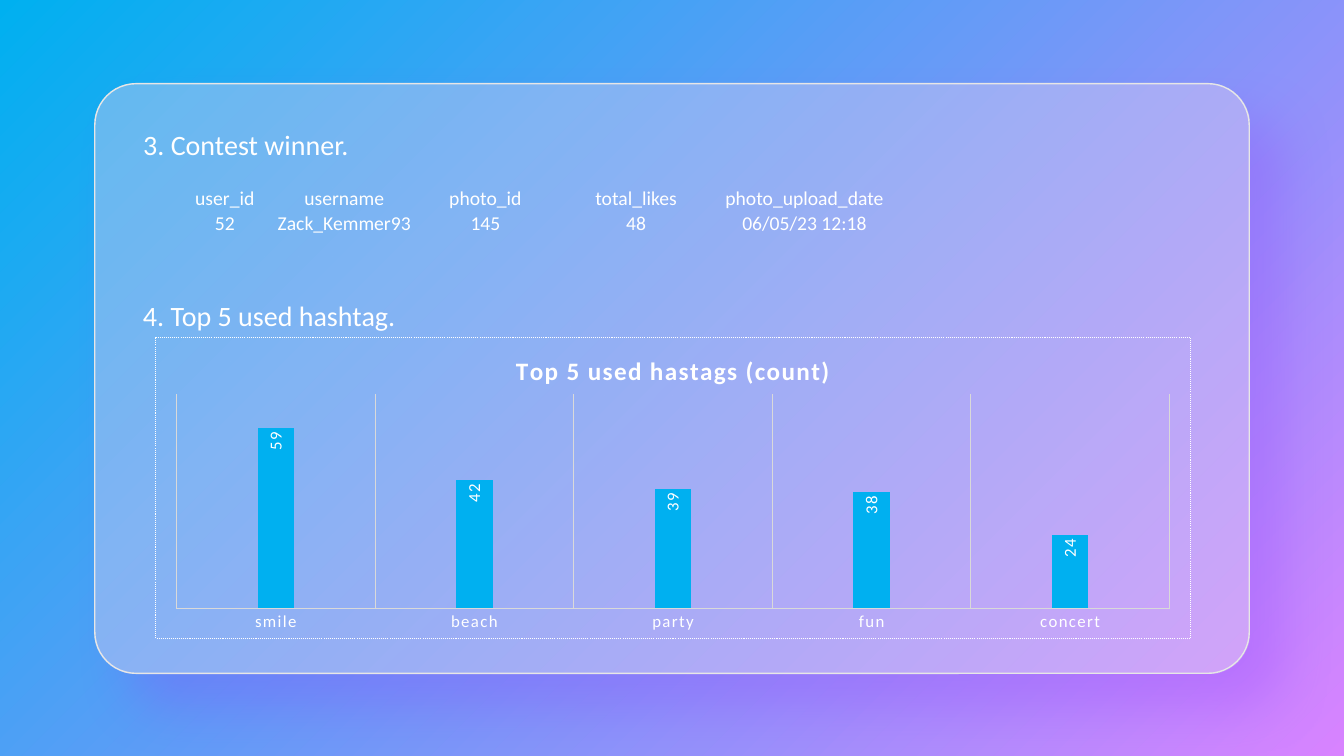
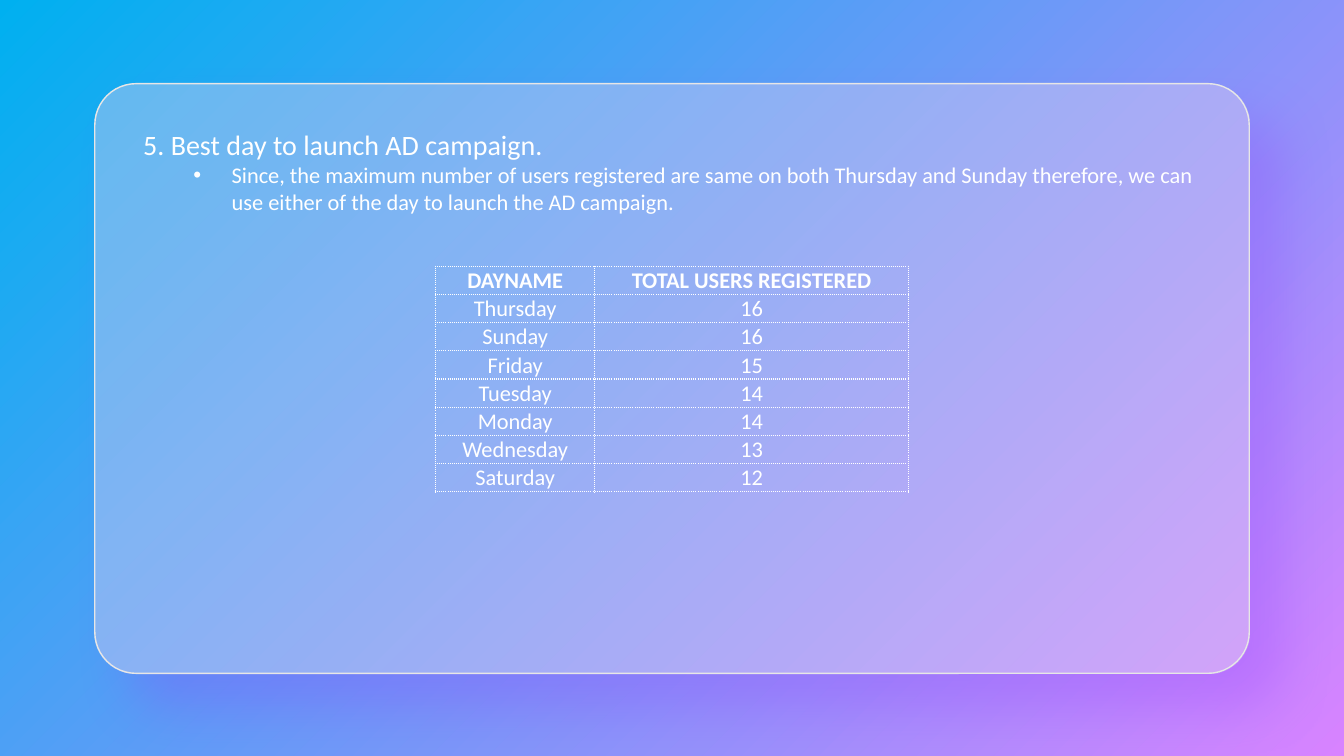
from lxml.etree import SubElement
from pptx import Presentation
from pptx.chart.data import CategoryChartData
from pptx.dml.color import RGBColor
from pptx.enum.chart import XL_CHART_TYPE, XL_LABEL_POSITION, XL_TICK_MARK
from pptx.enum.shapes import MSO_SHAPE
from pptx.enum.text import MSO_ANCHOR, MSO_AUTO_SIZE, PP_ALIGN
from pptx.oxml import parse_xml
from pptx.oxml.ns import nsdecls, qn
from pptx.util import Inches, Pt

WHITE = RGBColor(0xFF, 0xFF, 0xFF)
CYAN = RGBColor(0x00, 0xB0, 0xF0)
PINK = RGBColor(0xD8, 0x83, 0xFF)
SKY = RGBColor(0x40, 0xAE, 0xF4)
LILAC = RGBColor(0xCD, 0x94, 0xFF)
VIOLET = RGBColor(0x94, 0x37, 0xFF)
PALE = RGBColor(0xE7, 0xE6, 0xE6)
GRID = RGBColor(0xD9, 0xD9, 0xD9)
FONT = "Calibri"
PANEL = (0.94, 0.83, 11.45, 5.85)
LEFT, TOP, HEAD = 1.32, 1.21, 0.44
PLAIN = "{2D5ABB26-0587-4C30-8999-92F81FD0307C}"

WINNER = [
    ("user_id", "username", "photo_id", "total_likes", "photo_upload_date"),
    ("52", "Zack_Kemmer93", "145", "48", "06/05/23 12:18"),
]
TAGS = {"smile": 59, "beach": 42, "party": 39, "fun": 38, "concert": 24}
DAYS = [
    ("DAYNAME", "TOTAL USERS REGISTERED"),
    ("Thursday", "16"), ("Sunday", "16"), ("Friday", "15"),
    ("Tuesday", "14"), ("Monday", "14"), ("Wednesday", "13"),
    ("Saturday", "12"),
]
ADVICE = ("Since, the maximum number of users registered are same on both "
          "Thursday and Sunday therefore, we can use either of the day to "
          "launch the AD campaign.")


def style(font, size, bold=False):
    font.name, font.size, font.bold = FONT, Pt(size), bold
    font.color.rgb = WHITE


def write(frame, text, size=20, bold=False, align=PP_ALIGN.LEFT):
    para = frame.paragraphs[0]
    para.alignment = align
    run = para.add_run()
    run.text = text
    style(run.font, size, bold)
    return para


def blend(fill, start, end):
    """Fill with a gradient from top left to bottom right."""
    fill.gradient()
    fill.gradient_angle = 315
    for stop, color, place in zip(fill.gradient_stops, (start, end), (0, 1)):
        stop.color.rgb, stop.position = color, place


def dots(tag, width):
    """Give the XML of a white dotted line."""
    return parse_xml(
        f'<a:{tag} {nsdecls("a")} w="{Pt(width)}"><a:solidFill>'
        f'<a:srgbClr val="{WHITE}"/></a:solidFill>'
        f'<a:prstDash val="sysDot"/></a:{tag}>')


def add_pane(slide, box, start, end):
    pane = slide.shapes.add_shape(MSO_SHAPE.ROUNDED_RECTANGLE,
                                  *map(Inches, box))
    pane.adjustments[0] = 0.07
    pane.shadow.inherit = False
    blend(pane.fill, start, end)
    pane.line.fill.background()
    return pane


def add_glass(slide, box):
    """Place the glass panel on the layout that the slide uses."""
    base = add_pane(slide, box, SKY, LILAC)
    glow = base.element.spPr.find(qn("a:effectLst"))
    glow.append(parse_xml(
        f'<a:outerShdw {nsdecls("a")} blurRad="{Pt(40)}" dist="{Pt(35)}" '
        f'dir="2700000" algn="tl" rotWithShape="0"><a:srgbClr val="{VIOLET}">'
        '<a:alpha val="25000"/></a:srgbClr></a:outerShdw>'))
    glass = add_pane(slide, box, PALE, PALE)
    stops = glass.element.spPr.findall(".//" + qn("a:srgbClr"))
    for color, alpha in zip(stops, (22, 20)):
        SubElement(color, qn("a:alpha")).set("val", str(alpha * 1000))
    glass.line.color.rgb = PALE
    glass.line.width = Pt(1)
    for pane in (base, glass):
        slide.slide_layout.shapes.element.append(pane.element)


def set_title(slide, text):
    title = slide.shapes.title
    title.left, title.top = Inches(LEFT), Inches(TOP)
    title.width, title.height = Inches(10.64), Inches(HEAD)
    frame = title.text_frame
    frame.auto_size = MSO_AUTO_SIZE.NONE
    frame.vertical_anchor = MSO_ANCHOR.TOP
    write(frame, text)


def add_text(slide, box, text, **look):
    frame = slide.shapes.add_textbox(*map(Inches, box)).text_frame
    frame.word_wrap = True
    return write(frame, text, **look)


def add_point(slide, box, text):
    """Add a bulleted paragraph."""
    props = add_text(slide, box, text, size=16)._p.get_or_add_pPr()
    props.set("marL", str(Inches(0.88)))
    props.set("indent", str(Inches(-0.38)))
    SubElement(props, qn("a:buFont")).set("typeface", "Arial")
    SubElement(props, qn("a:buChar")).set("char", "•")


def add_grid(slide, spot, rows, cols, high, size, head=False, rule=False):
    """Add a table at spot; head makes row one bold, rule draws borders."""
    box = (*spot, sum(cols), high * len(rows))
    table = slide.shapes.add_table(len(rows), len(cols),
                                   *map(Inches, box)).table
    table.first_row = table.horz_banding = False
    table._tbl.tblPr.find(qn("a:tableStyleId")).text = PLAIN
    for col, width in zip(table.columns, cols):
        col.width = Inches(width)
    for i, row in enumerate(rows):
        table.rows[i].height = Inches(high)
        for j, text in enumerate(row):
            cell = table.cell(i, j)
            cell.margin_left = cell.margin_right = Inches(0.01)
            cell.margin_top, cell.margin_bottom = Inches(0.01), 0
            cell.vertical_anchor = MSO_ANCHOR.BOTTOM
            write(cell.text_frame, text, size=size, bold=head and i == 0,
                  align=PP_ALIGN.CENTER)
            if rule:
                props = cell._tc.get_or_add_tcPr()
                for side in ("lnL", "lnR", "lnT", "lnB"):
                    props.append(dots(side, 1))
            cell.fill.background()


def add_bars(slide, box, name, data):
    source = CategoryChartData()
    source.categories = list(data)
    source.add_series("Series 1", list(data.values()))
    chart = slide.shapes.add_chart(XL_CHART_TYPE.COLUMN_CLUSTERED,
                                   *map(Inches, box), source).chart
    style(chart.font, 10)
    chart.has_legend = False
    chart.has_title = True
    write(chart.chart_title.text_frame, name, size=18, bold=True,
          align=PP_ALIGN.CENTER)

    plot = chart.plots[0]
    plot.vary_by_categories = False
    plot.gap_width, plot.overlap = 444, -90
    bars = plot.series[0]
    bars.format.fill.solid()
    bars.format.fill.fore_color.rgb = CYAN
    labels = bars.data_labels
    labels.show_value = True
    labels.position = XL_LABEL_POSITION.INSIDE_END
    style(labels.font, 12)

    axis = chart.category_axis
    axis.major_tick_mark = axis.minor_tick_mark = XL_TICK_MARK.NONE
    axis.has_major_gridlines = True
    style(axis.tick_labels.font, 12)
    for line in (axis.format.line, axis.major_gridlines.format.line):
        line.color.rgb, line.width = GRID, Pt(0.75)
    scale = chart.value_axis
    scale.minimum_scale, scale.maximum_scale = 0, 70
    scale.has_major_gridlines = False
    scale.visible = False
    finish(chart)


def finish(chart):
    """Set turned labels, letter spacing, plot area and dotted border."""
    root = chart.element
    for body in root.xpath(".//c:dLbls/c:txPr/a:bodyPr"):
        body.set("rot", "-5400000")
        body.set("vert", "horz")
    for font in root.xpath(".//a:defRPr | .//a:rPr"):
        font.set("spc", "100")
    area = root.xpath(".//c:plotArea")[0]
    for old in area.findall(qn("c:layout")):
        area.remove(old)
    sizes = "".join(f'<c:{tag} val="{val}"/>' for tag, val in (
        ("layoutTarget", "inner"), ("xMode", "edge"), ("yMode", "edge"),
        ("x", 0.02), ("y", 0.19), ("w", 0.96), ("h", 0.71)))
    area.insert(0, parse_xml(
        f'<c:layout {nsdecls("c")}><c:manualLayout>{sizes}'
        '</c:manualLayout></c:layout>'))
    frame = parse_xml(f'<c:spPr {nsdecls("c", "a")}><a:noFill/></c:spPr>')
    frame.append(dots("ln", 0.75))
    root.find(qn("c:chart")).addnext(frame)


def fill_tags(slide):
    set_title(slide, "3. Contest winner.")
    add_grid(slide, (1.73, 1.84), WINNER, (1, 1.37, 1.43, 1.56, 1.78),
             0.25, 14)
    add_text(slide, (LEFT, 2.91, 4, HEAD), "4. Top 5 used hashtag.")
    add_bars(slide, (1.54, 3.34, 10.27, 3), "Top 5 used hastags (count)",
             TAGS)


def fill_days(slide):
    set_title(slide, "5. Best day to launch AD campaign.")
    add_point(slide, (LEFT, 1.55, 10.64, 0.64), ADVICE)
    add_grid(slide, (4.32, 2.64), DAYS, (1.58, 3.11), 0.28, 16,
             head=True, rule=True)


def main():
    deck = Presentation()
    deck.slide_width, deck.slide_height = Inches(13.33), Inches(7.5)
    blend(deck.slide_master.background.fill, CYAN, PINK)
    layout = deck.slide_layouts[5]
    first, second = (deck.slides.add_slide(layout) for _ in range(2))
    add_glass(first, PANEL)
    fill_tags(first)
    fill_days(second)
    deck.save("out.pptx")


if __name__ == "__main__":
    main()
